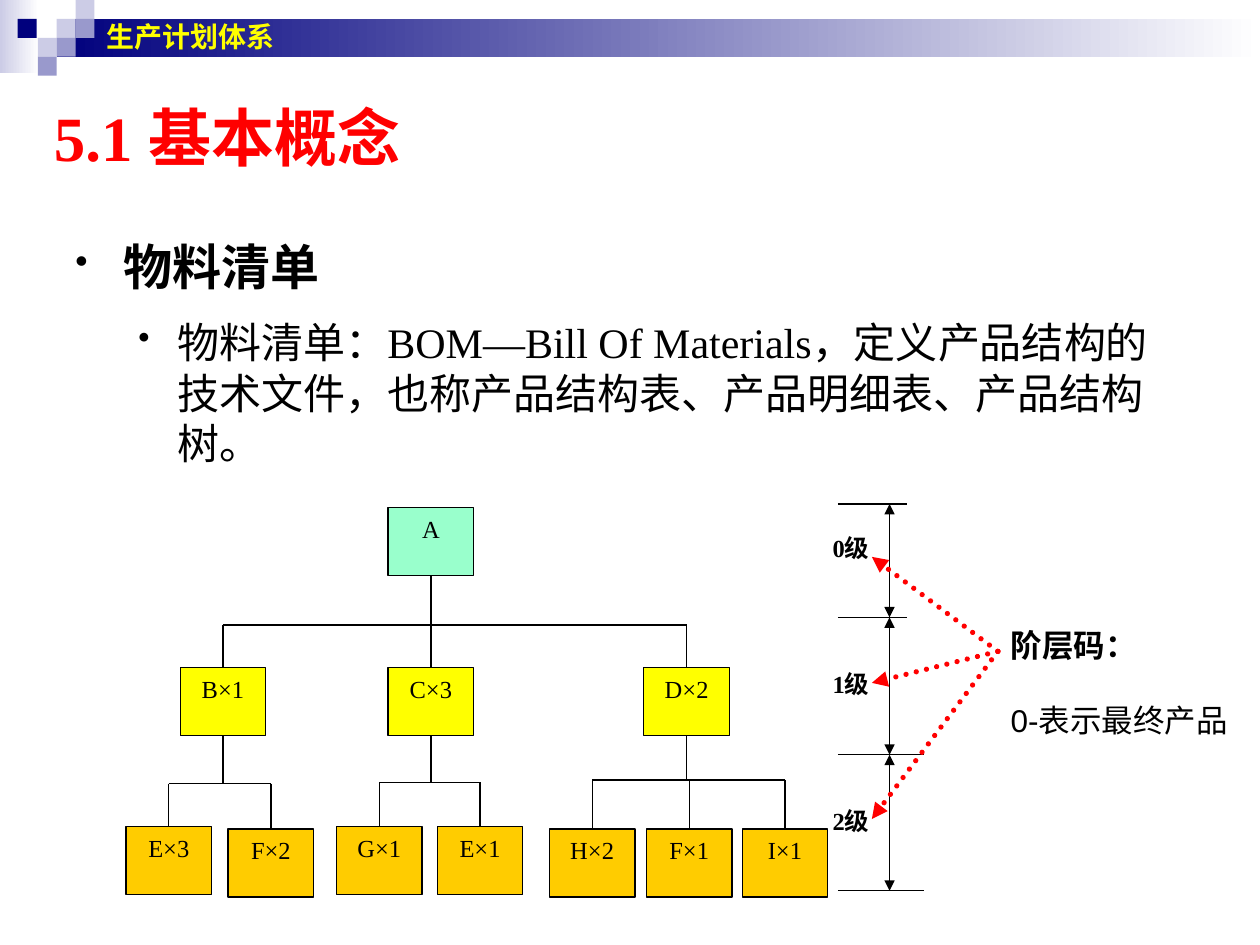
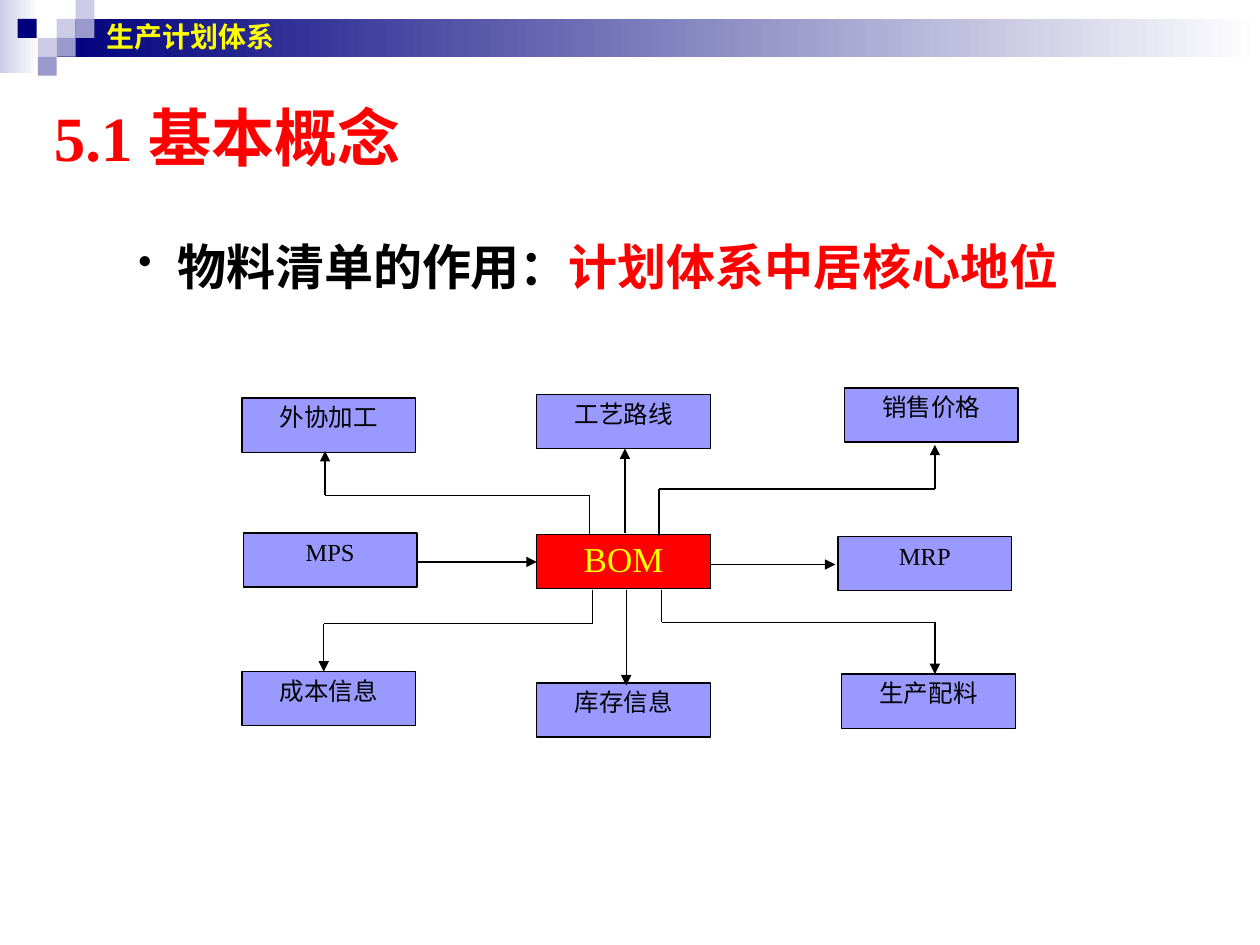
"""Builds two slides on the bill of materials: its structure tree and its role in planning."""
from dataclasses import dataclass

from lxml import etree
from pptx import Presentation
from pptx import util as u
from pptx.dml.color import RGBColor
from pptx.enum import dml, lang, shapes, text
from pptx.oxml.ns import qn


@dataclass(frozen=True)
class Theme:
    navy: str = "00007D"
    pale: str = "CCCCE6"
    mid: str = "9999CC"
    white: str = "FFFFFF"
    black: str = "000000"
    red: str = "FF0000"
    yellow: str = "FFFF00"
    mint: str = "99FFCC"
    amber: str = "FFCC00"
    lilac: str = "9999FF"
    serif: str = "Times New Roman"
    sans: str = "Arial"
    title: int = 36
    heading: int = 28
    body: int = 24
    core: int = 20
    note: int = 18
    band: int = 16
    label: int = 14
    hairline: float = 0.75
    dotted: float = 3


class Deck:
    def __init__(self, theme):
        self.theme = theme
        self.file = Presentation()
        self.file.slide_width, self.file.slide_height = u.Inches(10), u.Inches(7.5)
        self.slide = None

    def start_slide(self):
        t = self.theme
        self.slide = self.file.slides.add_slide(self.file.slide_layouts[6])
        self.rect(0, 0, 0.31, 0.58, (t.pale, t.white))
        self.rect(0.45, 0.15, 9.55, 0.3, (t.navy, t.white))
        tiles = [(0.45, 0.15, t.pale), (0.6, 0, t.pale), (0.6, 0.15, t.mid),
                 (0.3, 0.3, t.pale), (0.14, 0.15, t.navy), (0.45, 0.3, t.mid),
                 (0.3, 0.45, t.mid)]
        for left, top, color in tiles:
            self.rect(left, top, 0.15, 0.15, color)
        middle = text.MSO_ANCHOR.MIDDLE
        band = self.text_frame(0.75, 0, 8.83, 0.58, middle)
        self.add_words(band.paragraphs[0], "生产计划体系", t.band, t.yellow, t.sans, True)
        title = self.text_frame(0.33, 0.75, 9, 0.67, middle)
        self.add_words(title.paragraphs[0], "5.1 基本概念", t.title, t.red, bold=True)

    def rect(self, left, top, width, height, fill, outlined=False):
        box = self.slide.shapes.add_shape(
            shapes.MSO_SHAPE.RECTANGLE, *map(u.Inches, (left, top, width, height)))
        box.shadow.inherit = False
        if isinstance(fill, tuple):
            box.fill.gradient()
            box.fill.gradient_angle = 0
            for stop, color in zip(box.fill.gradient_stops, fill):
                stop.color.rgb = RGBColor.from_string(color)
        else:
            box.fill.solid()
            box.fill.fore_color.rgb = RGBColor.from_string(fill)
        if outlined:
            box.line.color.rgb = RGBColor.from_string(self.theme.black)
            box.line.width = u.Pt(self.theme.hairline)
        else:
            box.line.fill.background()
        return box

    def node(self, label, left, top, size, fill, color=None, points=None,
             inset=0.1, spacing=1.0):
        frame = self.rect(left, top, *size, fill, outlined=True).text_frame
        frame.word_wrap = True
        frame.vertical_anchor = text.MSO_ANCHOR.TOP
        frame.margin_left = frame.margin_right = u.Inches(inset)
        paragraph = frame.paragraphs[0]
        self.add_words(paragraph, label, points or self.theme.label, color)
        paragraph.alignment = text.PP_ALIGN.CENTER
        paragraph.line_spacing = spacing

    def text_frame(self, left, top, width, height, anchor=text.MSO_ANCHOR.TOP):
        box = self.slide.shapes.add_textbox(*map(u.Inches, (left, top, width, height)))
        box.text_frame.word_wrap = True
        box.text_frame.vertical_anchor = anchor
        return box.text_frame

    def add_words(self, paragraph, words, points, color=None, font=None, bold=False):
        run = paragraph.add_run()
        run.text = words
        run.font.size = u.Pt(points)
        run.font.name = font or self.theme.serif
        run.font.bold = bold
        run.font.color.rgb = RGBColor.from_string(color or self.theme.black)
        run.font.language_id = lang.MSO_LANGUAGE_ID.SIMPLIFIED_CHINESE

    def bullet(self, paragraph, margin, hang, percent):
        props = paragraph._p.get_or_add_pPr()
        props.set("marL", str(u.Inches(margin)))
        props.set("indent", str(-u.Inches(hang)))
        color = etree.SubElement(props, qn("a:buClr"))
        etree.SubElement(color, qn("a:srgbClr"), val=self.theme.black)
        etree.SubElement(props, qn("a:buSzPct"), val=str(percent * 1000))
        etree.SubElement(props, qn("a:buChar"), char="•")

    def line(self, start, end, head=False, tail=False, dotted=False):
        t = self.theme
        link = self.slide.shapes.add_connector(
            shapes.MSO_CONNECTOR.STRAIGHT, *map(u.Inches, (*start, *end)))
        link.line.color.rgb = RGBColor.from_string(t.red if dotted else t.black)
        link.line.width = u.Pt(t.dotted if dotted else t.hairline)
        props = link._element.spPr
        stroke = props.find(qn("a:ln"))
        if dotted:
            link.line.dash_style = dml.MSO_LINE.ROUND_DOT
            stroke.set("cap", "rnd")
        for tag, wanted in (("a:headEnd", head), ("a:tailEnd", tail)):
            if wanted:
                etree.SubElement(stroke, qn(tag), type="triangle")
        etree.SubElement(props, qn("a:effectLst"))

    def route(self, *points):
        last = len(points) - 2
        for i, (start, end) in enumerate(zip(points, points[1:])):
            self.line(start, end, tail=i == last)

    def fork(self, stem_x, top, bar_y, drops):
        self.line((stem_x, top), (stem_x, bar_y))
        self.line((drops[0][0], bar_y), (drops[-1][0], bar_y))
        for x, bottom in drops:
            self.line((x, bar_y), (x, bottom))


def structure_slide(deck):
    t = deck.theme
    deck.start_slide()
    body = deck.text_frame(0.5, 1.83, 9, 4.25)
    heading, definition = body.paragraphs[0], body.add_paragraph()
    deck.bullet(heading, 0.38, 0.38, 75)
    deck.add_words(heading, "物料清单", t.heading, bold=True)
    deck.bullet(definition, 0.81, 0.31, 80)
    definition.space_before = u.Pt(12)
    deck.add_words(definition, "物料清单：BOM—Bill Of Materials，定义产品结构的技术文件，"
                   "也称产品结构表、产品明细表、产品结构树。", t.body)

    size = width, height = 0.68, 0.54
    half = width / 2
    product_x, product_y, part_y = 3.08, 4.03, 5.3
    branches = [
        ("B×1", 1.43, 6.22, [("E×3", 1, 6.56), ("F×2", 1.81, 6.58)]),
        ("C×3", 3.08, 6.21, [("G×1", 2.67, 6.56), ("E×1", 3.47, 6.56)]),
        ("D×2", 5.11, 6.19, [("H×2", 4.36, 6.58), ("F×1", 5.13, 6.58), ("I×1", 5.89, 6.58)]),
    ]
    deck.node("A", product_x, product_y, size, t.mint)
    deck.fork(product_x + half, product_y + height, 4.96,
              [(left + half, part_y) for _, left, _, _ in branches])
    for part, left, bar_y, components in branches:
        deck.node(part, left, part_y, size, t.yellow)
        deck.fork(left + half, part_y + height, bar_y,
                  [(x + half, y) for _, x, y in components])
        for component, x, y in components:
            deck.node(component, x, y, size, t.amber)

    bounds = [4, 4.9, 5.99, 7.07]
    for y, right in zip(bounds, (7.2, 7.2, 7.33, 7.33)):
        deck.line((6.65, y), (right, y))
    levels = zip(bounds, bounds[1:], (4.18, 5.26, 6.35), (4.42, 5.42, 6.5))
    for level, (upper, lower, label_y, target_y) in enumerate(levels):
        deck.line((7.06, upper), (7.06, lower), head=True, tail=True)
        label = deck.text_frame(6.51, label_y, width, height).paragraphs[0]
        deck.add_words(label, f"{level}级", t.label, bold=True)
        deck.line((7.92, 5.17), (6.92, target_y), tail=True, dotted=True)

    note = deck.text_frame(8, 4.92, 1.92, 1)
    note.margin_left = note.margin_right = u.Inches(0.02)
    deck.add_words(note.paragraphs[0], "阶层码：", t.note, font=t.sans, bold=True)
    meaning = note.add_paragraph()
    meaning.space_before = u.Pt(21)
    deck.add_words(meaning, "0-表示最终产品", t.note, font=t.sans)


def role_slide(deck):
    t = deck.theme
    deck.start_slide()
    role = deck.text_frame(0.5, 1.83, 9, 4.25).paragraphs[0]
    deck.bullet(role, 0.81, 0.31, 80)
    deck.add_words(role, "物料清单的作用：", t.heading, font=t.sans, bold=True)
    deck.add_words(role, "计划体系中居核心地位", t.heading, t.red, t.sans, True)

    size = (1.38, 0.43)
    compact = {"inset": 0.04, "spacing": 0.96}
    functions = [
        ("外协加工", 1.92, 3.16), ("工艺路线", 4.26, 3.13), ("销售价格", 6.7, 3.08),
        ("MPS", 1.93, 4.23), ("MRP", 6.65, 4.26),
        ("成本信息", 1.92, 5.33), ("库存信息", 4.26, 5.42), ("生产配料", 6.68, 5.35),
    ]
    for name, left, top in functions:
        deck.node(name, left, top, size, t.lilac, **compact)
    deck.node("BOM", 4.26, 4.24, size, t.red, t.yellow, t.core, **compact)

    deck.route((3.32, 4.46), (4.26, 4.46))
    deck.route((5.64, 4.48), (6.63, 4.48))
    deck.route((4.96, 4.23), (4.96, 3.56))
    deck.route((4.97, 4.68), (4.97, 5.44))
    elbows = [(4.68, 4.25, 3.93, 2.58, 3.58), (5.23, 4.25, 3.88, 7.42, 3.53),
              (4.7, 4.68, 4.95, 2.57, 5.33), (5.25, 4.68, 4.94, 7.42, 5.35)]
    for core_x, core_y, bend_y, target_x, target_y in elbows:
        deck.route((core_x, core_y), (core_x, bend_y),
                   (target_x, bend_y), (target_x, target_y))


def main():
    deck = Deck(Theme())
    structure_slide(deck)
    role_slide(deck)
    deck.file.save("out.pptx")


if __name__ == "__main__":
    main()
